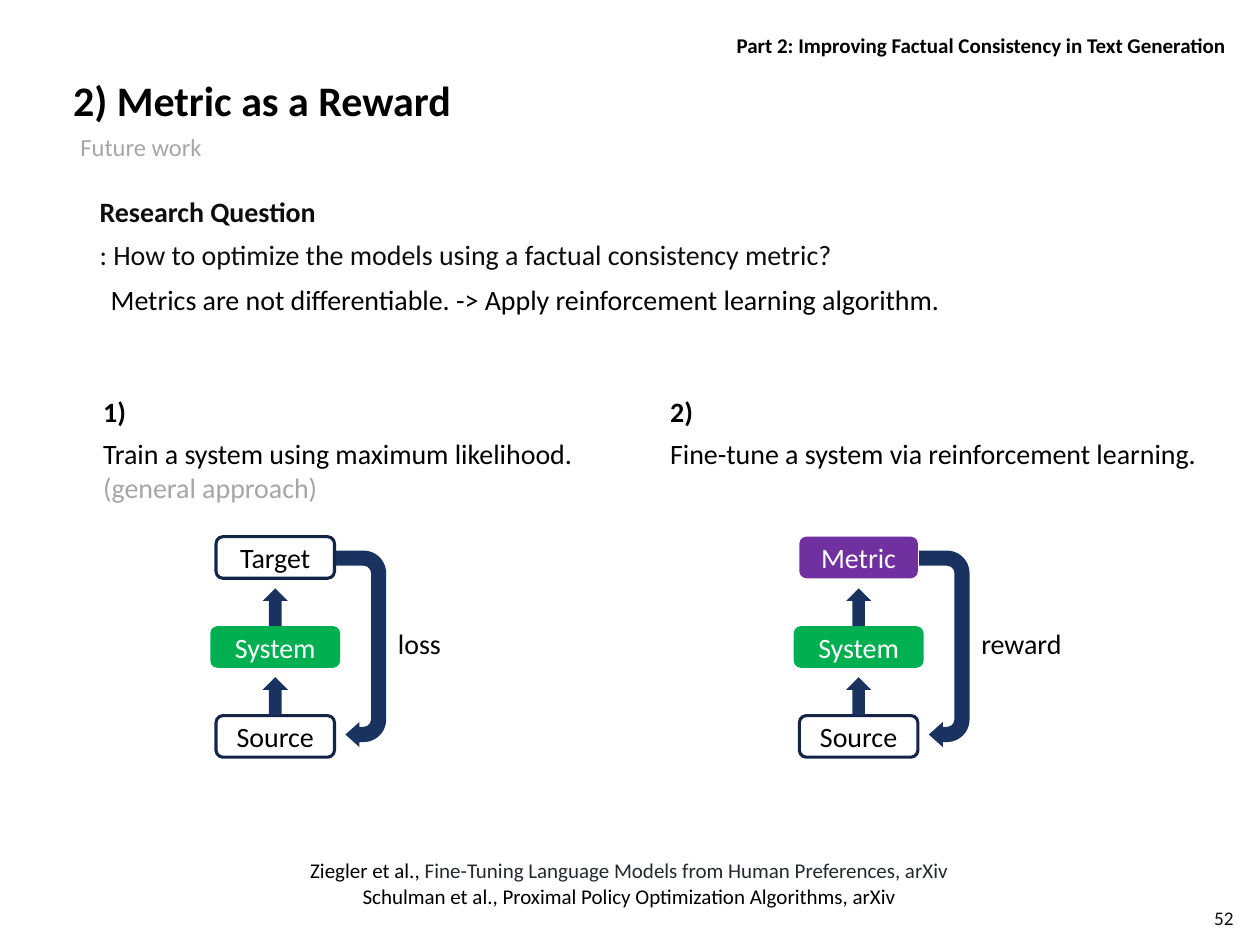
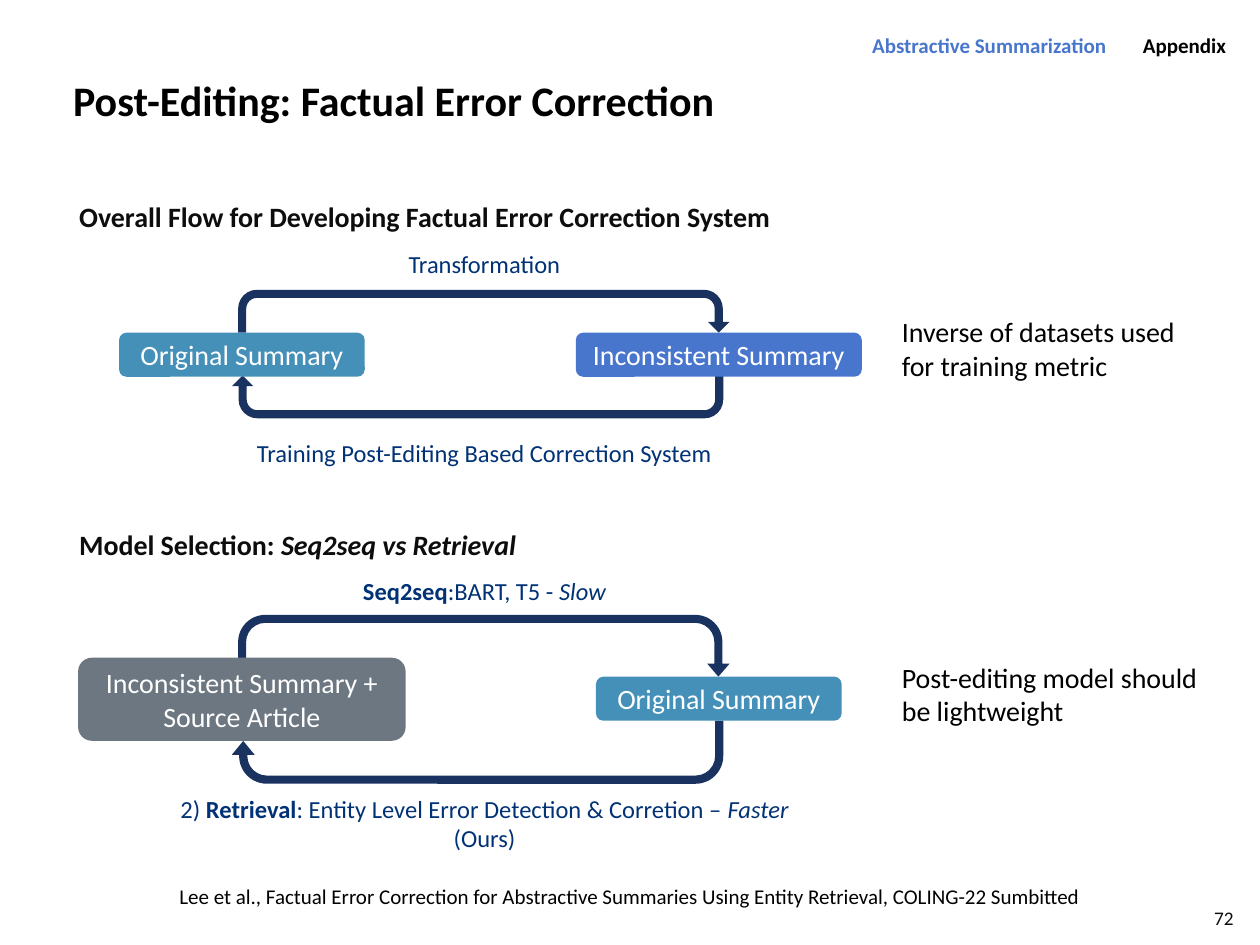
"""Build two slides on factual consistency: metric as reward and post-editing."""
from dataclasses import dataclass

from lxml import etree
from pptx import Presentation
from pptx import util as u
from pptx.dml.color import RGBColor
from pptx.enum import shapes, text
from pptx.oxml.ns import qn

WIDE, TALL = u.Inches(10), u.Inches(7.5)
COL, ROW = WIDE / 100, TALL / 75
FONT = "Calibri"
BLACK, DARK, WHITE, GRAY = "000000", "0D0D0D", "FFFFFF", "A6A6A6"
NAVY, EDGE, DEEP = "1A3260", "132547", "013275"
GREEN, PURPLE, TEAL, BLUE, SLATE = "00B050", "7030A0", "4590B8", "4876CD", "6C7781"
KIND, SIDE, ANCHOR = shapes.MSO_SHAPE, text.PP_ALIGN, text.MSO_ANCHOR


@dataclass(frozen=True)
class Box:
    """Place on the grid, in columns and rows."""
    col: float
    row: float
    wide: float
    tall: float

    def lengths(self) -> list[u.Emu]:
        """Return left, top, width and height."""
        return [u.Emu(round(share * unit)) for share, unit in
                zip((self.col, self.row, self.wide, self.tall), (COL, ROW, COL, ROW))]


@dataclass(frozen=True)
class Bit:
    """Piece of text with one look."""
    words: str
    bold: bool = False
    slant: bool = False
    ink: str = ""


@dataclass(frozen=True)
class Style:
    """Look of a whole block of text."""
    size: float = 16
    ink: str = BLACK
    side: SIDE = SIDE.LEFT
    anchor: ANCHOR = ANCHOR.TOP
    gap: float = 0
    pitch: float = 1.0


@dataclass(frozen=True)
class Node:
    """Rounded box, placed by its middle column and top row."""
    words: str
    mid: float
    row: float
    wide: float
    tall: float
    fill: str = ""


@dataclass(frozen=True)
class Loop:
    """Bent arrow that leads from one box back to another."""
    box: Box
    turn: float
    bends: tuple[float, ...]


@dataclass(frozen=True)
class Panel:
    """Training step with its diagram."""
    mid: float
    left: float
    wide: float
    steps: list[list[Bit]]
    goal: str
    fill: str
    sign: str


PLAIN = Style()
TITLE = Style(24)
HEAD = Style(ink=DARK, gap=5.7)
TOPIC = Style(ink=DARK, pitch=1.1)
STEP = Style(gap=5)
NOTE = Style(14, DEEP, SIDE.CENTER)
CITE = Style(12, side=SIDE.CENTER)
MARK = Style(12, side=SIDE.RIGHT)
PAGE = Style(11, DARK, SIDE.RIGHT, ANCHOR.MIDDLE)


def tint(code: str) -> RGBColor:
    """Turn a hex string into a colour."""
    return RGBColor.from_string(code)


def write(frame, paras: list[list[Bit]], style: Style) -> None:
    """Fill a text frame with styled paragraphs."""
    frame.word_wrap = True
    frame.auto_size = text.MSO_AUTO_SIZE.NONE
    frame.vertical_anchor = style.anchor
    for place, bits in enumerate(paras):
        para = frame.add_paragraph() if place else frame.paragraphs[0]
        props = para._p.get_or_add_pPr()
        props.set("marL", "0")
        props.set("indent", "0")
        etree.SubElement(props, qn("a:buNone"))
        para.alignment = style.side
        para.line_spacing = style.pitch
        para.space_before = u.Pt(style.gap if place else 0)
        para.space_after = u.Pt(0)
        for bit in bits:
            run = para.add_run()
            run.text = bit.words
            font = run.font
            font.name, font.size = FONT, u.Pt(style.size)
            font.bold, font.italic = bit.bold, bit.slant
            font.color.rgb = tint(bit.ink or style.ink)


def label(slide, box: Box, paras: list[list[Bit]], style: Style = PLAIN) -> None:
    """Add a text box."""
    write(slide.shapes.add_textbox(*box.lengths()).text_frame, paras, style)


def seat(holder, box: Box, paras: list[list[Bit]], style: Style) -> None:
    """Move a placeholder and fill it."""
    holder.left, holder.top, holder.width, holder.height = box.lengths()
    write(holder.text_frame, paras, style)


def form(slide, kind: KIND, box: Box, fill: str):
    """Add a flat preset shape, outlined when it has no fill."""
    shape = slide.shapes.add_shape(kind, *box.lengths())
    shape.shadow.inherit = False
    if fill:
        shape.fill.solid()
        shape.fill.fore_color.rgb = tint(fill)
        shape.line.fill.background()
    else:
        shape.fill.background()
        shape.line.color.rgb = tint(EDGE)
        shape.line.width = u.Pt(1.75)
    return shape


def draw_node(slide, node: Node) -> None:
    """Draw a rounded box with centred text."""
    box = Box(node.mid - node.wide / 2, node.row, node.wide, node.tall)
    shape = form(slide, KIND.ROUNDED_RECTANGLE, box, node.fill)
    style = Style(ink=WHITE if node.fill else BLACK, side=SIDE.CENTER, anchor=ANCHOR.MIDDLE)
    write(shape.text_frame, [[Bit(node.words)]], style)


def draw_loop(slide, loop: Loop) -> None:
    """Draw a bent arrow."""
    shape = form(slide, KIND.U_TURN_ARROW, loop.box, NAVY)
    shape.rotation = loop.turn
    for place, bend in enumerate(loop.bends):
        shape.adjustments[place] = bend


def draw_mark(slide, words: str, right: float, wide: float, ink: str = BLACK) -> None:
    """Write a section name that ends at a column."""
    label(slide, Box(right - wide, 2.1, wide, 3), [[Bit(words, True, ink=ink)]], MARK)


def draw_note(slide, row: float, wide: float, bits: list[Bit]) -> None:
    """Write a caption centred on the loops."""
    label(slide, Box(38.45 - wide / 2, row, wide, 3.4), [bits], NOTE)


def draw_panel(slide, panel: Panel) -> None:
    """Draw a training step: source, system and goal with feedback."""
    mid = panel.mid
    label(slide, Box(panel.left, 30.8, panel.wide, 10.1), panel.steps, STEP)
    stack = [(panel.goal, 9.4, panel.fill), ("System", 10.3, GREEN), ("Source", 9.4, "")]
    for place, (words, wide, fill) in enumerate(stack):
        draw_node(slide, Node(words, mid, 42.6 + 7.1 * place, wide, 3.3, fill))
    for place in range(2):
        form(slide, KIND.UP_ARROW, Box(mid - 1, 46.7 + 7.05 * place, 2, 3), NAVY)
    draw_loop(slide, Loop(Box(mid - 1, 49.5, 15.6, 4), 90, (0.3, 0.25, 0.28, 0.45, 0.81)))
    label(slide, Box(mid + 8.75, 49.2, 9.5, 3.7), [[Bit(panel.sign)]])


def start(deck, layout: int, title: str, page: str):
    """Add a slide with its title and page number."""
    slide = deck.slides.add_slide(deck.slide_layouts[layout])
    seat(slide.shapes.title, Box(4.8, 5.4, 89.8, 5.9), [[Bit(title, True)]], TITLE)
    label(slide, Box(88.5, 71.8, 10.4, 2.1), [[Bit(page)]], PAGE)
    return slide


def reward(deck) -> None:
    """Build the slide on the metric as a reward."""
    slide = start(deck, 1, "2) Metric as a Reward", "52")
    draw_mark(slide, "Part 2: Improving Factual Consistency in Text Generation", 98.3, 46)
    label(slide, Box(5.4, 10, 44.6, 3.4), [[Bit("Future work")]], Style(14, GRAY))
    seat(slide.placeholders[1], Box(6.9, 14.9, 62.9, 11.1), [
        [Bit("Research Question", True)],
        [Bit(": How to optimize the models using a factual consistency metric?")]], HEAD)
    label(slide, Box(7.8, 21.9, 86.2, 3.7), [
        [Bit("Metrics are not differentiable. -> Apply reinforcement learning algorithm.")]])
    panels = [
        Panel(21.85, 7.2, 46.5, [
            [Bit("1)", True)],
            [Bit("Train a system using maximum likelihood. "),
             Bit("(general approach)", ink=GRAY)]], "Target", "", "loss"),
        Panel(68.15, 52.2, 44.8, [
            [Bit("2)", True)],
            [Bit("Fine-tune a system via reinforcement learning.")]],
            "Metric", PURPLE, "reward")]
    for panel in panels:
        draw_panel(slide, panel)
    label(slide, Box(7.8, 67.6, 84.3, 5), [
        [Bit("Ziegler et al., "),
         Bit("Fine-Tuning Language Models from Human Preferences, arXiv", ink="24292F")],
        [Bit("Schulman et al., Proximal Policy Optimization Algorithms, arXiv")]], CITE)


def editing(deck) -> None:
    """Build the slide on post-editing."""
    slide = start(deck, 5, "Post-Editing: Factual Error Correction", "72")
    draw_mark(slide, "Appendix", 98.3, 10)
    draw_mark(slide, "Abstractive Summarization", 88.8, 23.9, BLUE)
    thin = (0.19, 0.25, 0.25, 0.44, 1)
    loops = [
        Loop(Box(18.9, 23, 39, 3.4), 0, thin),
        Loop(Box(18.4, 29.8, 39, 3.4), 180, thin),
        Loop(Box(18.9, 48.8, 39, 4.9), 0, (0.13, 0.18, 0.21, 0.44, 1)),
        Loop(Box(18.4, 57.2, 39, 5), 180, (0.13, 0.18, 0.22, 0.44, 0.68))]
    for loop in loops:
        draw_loop(slide, loop)
    nodes = [
        Node("Original Summary", 19.2, 26.4, 19.5, 3.5, TEAL),
        Node("Inconsistent Summary", 57.05, 26.4, 22.7, 3.5, BLUE),
        Node("Inconsistent Summary + Source Article", 19.2, 52.2, 26, 6.6, SLATE),
        Node("Original Summary", 57.05, 53.7, 19.5, 3.5, TEAL)]
    for node in nodes:
        draw_node(slide, node)
    topics = [
        (15.1, [Bit("Overall Flow for Developing Factual Error Correction System", True)]),
        (41.1, [Bit("Model Selection: ", True), Bit("Seq2seq vs Retrieval", True, True)])]
    for row, bits in topics:
        label(slide, Box(5.3, row, 68.9, 4), [bits], TOPIC)
    notes = [
        (19.3, 23.3, [Bit("Transformation")]),
        (34.3, 39.7, [Bit("Training Post-Editing Based Correction System")]),
        (45.2, 23.3, [Bit("Seq2seq", True), Bit(":BART, T5 - "), Bit("Slow", slant=True)]),
        (62.5, 55.5, [Bit("2) "), Bit("Retrieval", True),
                      Bit(": Entity Level Error Detection & Corretion – "),
                      Bit("Faster ", slant=True), Bit("(Ours)")])]
    for note in notes:
        draw_note(slide, *note)
    asides = [(24.5, "Inverse of datasets used for training metric"),
              (51.9, "Post-editing model should be lightweight")]
    for row, words in asides:
        label(slide, Box(70.6, row, 26.6, 6.4), [[Bit(words)]])
    label(slide, Box(11.1, 69.6, 77.8, 3), [
        [Bit("Lee et al., Factual Error Correction for Abstractive Summaries "
             "Using Entity Retrieval, COLING-22 Sumbitted")]], CITE)


def main() -> None:
    """Build and save the deck."""
    deck = Presentation()
    deck.slide_width, deck.slide_height = WIDE, TALL
    reward(deck)
    editing(deck)
    deck.save("out.pptx")


if __name__ == "__main__":
    main()
